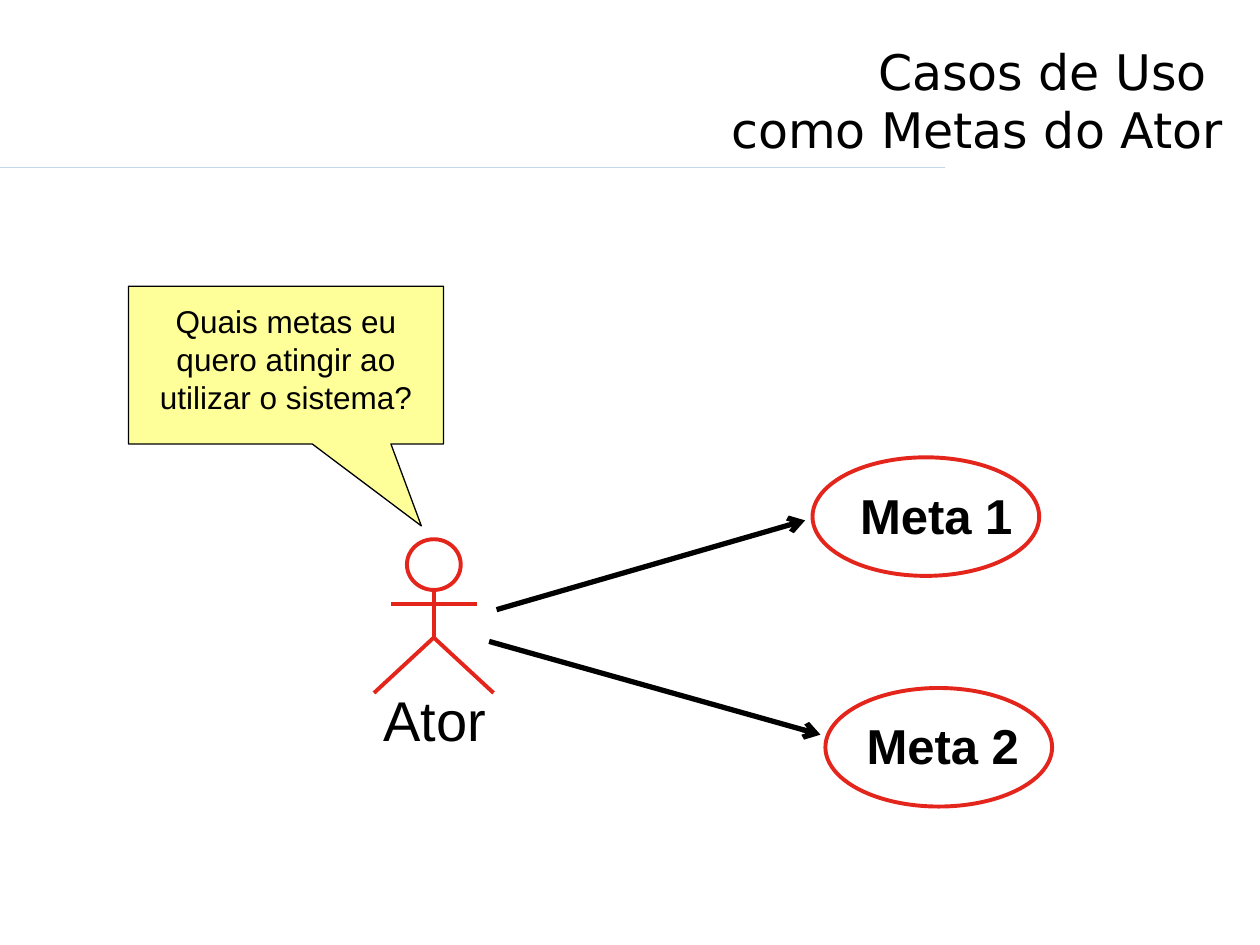
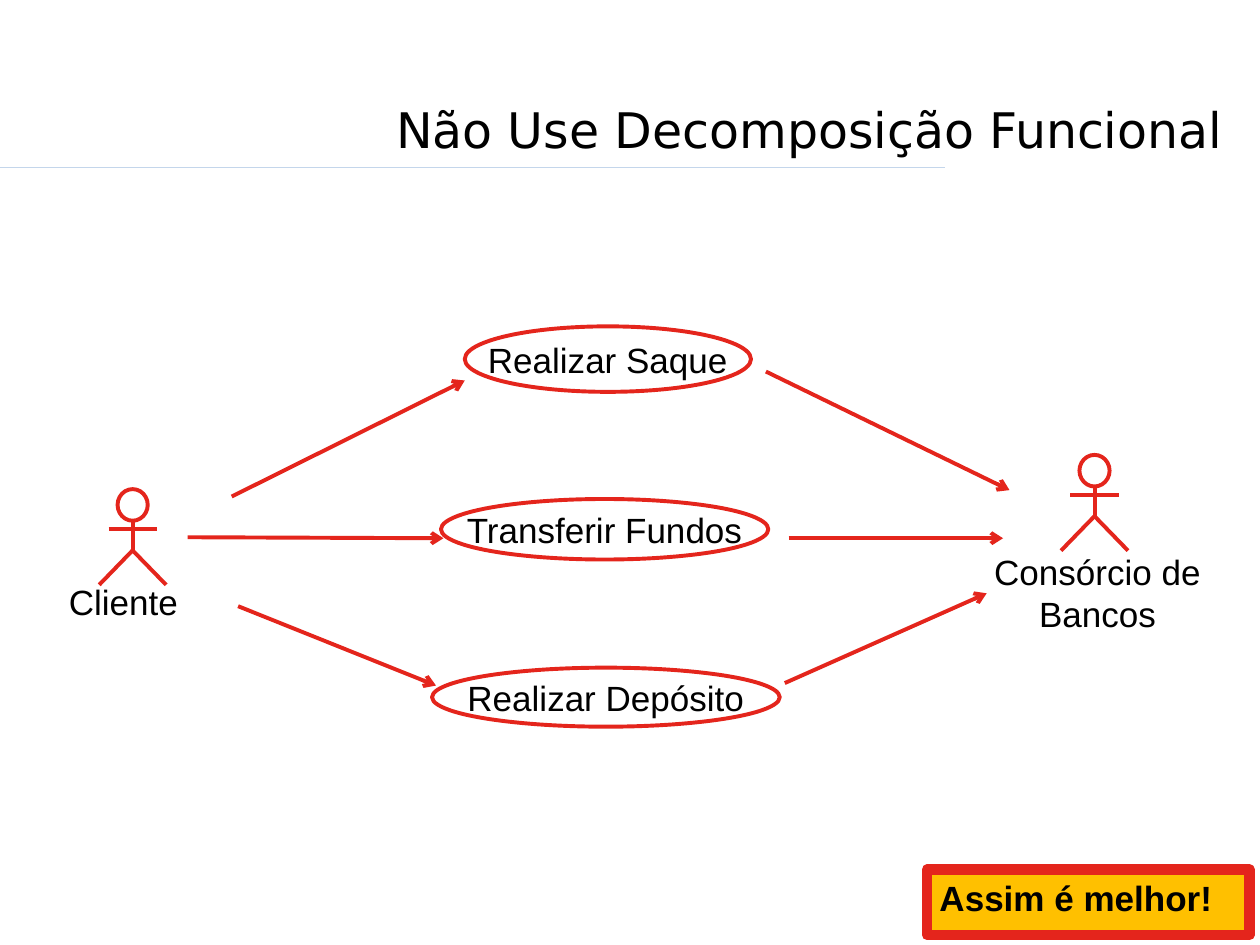
from dataclasses import dataclass

from lxml import etree
from pptx import Presentation
from pptx import util as u
from pptx.dml.color import RGBColor
from pptx.enum import shapes, text
from pptx.oxml import ns

Cm = u.Cm
MID = text.PP_ALIGN.CENTER
LEFT = text.PP_ALIGN.LEFT


@dataclass(frozen=True)
class Theme:
    red: str = "E4251C"
    black: str = "000000"
    white: str = "FFFFFF"
    rule: str = "C4D6EB"
    note: str = "FFFF99"
    gold: str = "FFC000"
    head: str = "DejaVu Sans"
    body: str = "Arial"
    large: int = 32
    title: int = 28
    mid: int = 20
    small: int = 18
    hair: float = 0.75
    pen: float = 2.25
    thick: float = 3
    frame: float = 6


class Deck:
    slim = (0.25, 0.13, 0.25, 0.13)
    wide = (0.3, 0.15, 0.3, 0.15)

    def __init__(self, theme):
        self.theme = theme
        self.prs = Presentation()
        self.prs.slide_width, self.prs.slide_height = Cm(25.4), Cm(19.05)
        self.slide = None

    def start(self, *lines):
        t = self.theme
        self.slide = self.prs.slides.add_slide(self.prs.slide_layouts[5])
        self.line((0, 3.38), (19.05, 3.38), t.rule, t.hair)
        title = self.slide.shapes.title
        self.place(title, (0.46, 0.69, 24.43, 2.64))
        self.words(title, lines, t.title, align=text.PP_ALIGN.RIGHT,
                   anchor=text.MSO_ANCHOR.BOTTOM, font=t.head)

    def place(self, shape, box):
        shape.left, shape.top, shape.width, shape.height = map(Cm, box)

    def words(self, shape, lines, size, align=MID, anchor=text.MSO_ANCHOR.MIDDLE,
              pad=slim, wrap=True, bold=False, font=None):
        frame = shape.text_frame
        frame.auto_size = text.MSO_AUTO_SIZE.NONE
        frame.word_wrap = wrap
        frame.vertical_anchor = anchor
        (frame.margin_left, frame.margin_top,
         frame.margin_right, frame.margin_bottom) = map(Cm, pad)
        para = frame.paragraphs[0]
        para.alignment = align
        for i, line in enumerate(lines):
            if i:
                para.add_line_break()
            run = para.add_run()
            run.text = line
            run.font.name = font or self.theme.body
            run.font.size = u.Pt(size)
            run.font.bold = bold
            run.font.color.rgb = RGBColor.from_string(self.theme.black)

    def ink(self, item, color, width):
        item.line.color.rgb = RGBColor.from_string(color)
        item.line.width = u.Pt(width)

    def paint(self, shape, fill, color, width):
        shape.shadow.inherit = False
        if fill:
            shape.fill.solid()
            shape.fill.fore_color.rgb = RGBColor.from_string(fill)
        else:
            shape.fill.background()
        self.ink(shape, color, width)

    def shape(self, kind, box, fill=None, color=None, width=None, home=None):
        t = self.theme
        item = (home or self.slide.shapes).add_shape(kind, *map(Cm, box))
        self.paint(item, fill, color or t.red, width or t.pen)
        return item

    def oval(self, box, fill=None, home=None):
        return self.shape(shapes.MSO_SHAPE.OVAL, box, fill, home=home)

    def label(self, name, box, size, **style):
        item = self.slide.shapes.add_textbox(*map(Cm, box))
        self.words(item, [name], size, anchor=text.MSO_ANCHOR.TOP, **style)

    def line(self, start, end, color, width, home=None):
        item = (home or self.slide.shapes).add_connector(
            shapes.MSO_CONNECTOR.STRAIGHT, *map(Cm, start + end))
        self.ink(item, color, width)
        etree.SubElement(item.element.spPr, ns.qn("a:effectLst"))
        return item

    def arrow(self, start, end, color, width):
        item = self.line(start, end, color, width)
        edge = item.element.spPr.find(ns.qn("a:ln"))
        etree.SubElement(edge, ns.qn("a:tailEnd"), type="arrow")

    def actor(self, x, y, w, h):
        t = self.theme
        home = self.slide.shapes.add_group_shape().shapes
        mid, neck, arm, hip = x + w / 2, y + 0.33 * h, y + 0.42 * h, y + 0.64 * h
        self.oval((mid - 0.225 * w, y, 0.45 * w, 0.33 * h), home=home)
        self.line((mid, neck), (mid, hip), t.red, t.pen, home)
        self.line((mid - 0.36 * w, arm), (mid + 0.36 * w, arm), t.red, t.pen, home)
        legs = home.build_freeform(Cm(x), Cm(y + h))
        legs.add_line_segments(
            [(Cm(mid), Cm(hip)), (Cm(x + w), Cm(y + h))], close=False)
        self.paint(legs.convert_to_shape(), None, t.red, t.pen)


def goals(deck):
    t = deck.theme
    deck.start("Casos de Uso ", "como Metas do Ator")
    deck.actor(7.54, 10.87, 2.41, 3.1)
    deck.label("Ator", (7.42, 13.69, 2.69, 1.6), t.large, wrap=False)
    for name, oval, spot in (
        ("Meta 1", (16.38, 9.22), (17.04, 9.63)),
        ("Meta 2", (16.64, 13.87), (17.17, 14.27)),
    ):
        deck.oval(oval + (4.57, 2.39))
        deck.label(name, spot + (3.71, 1.5), t.title, align=LEFT,
                   pad=deck.wide, wrap=False, bold=True)
    for start, end in (
        ((10.01, 12.29), (16.23, 10.49)),
        ((9.86, 12.93), (16.54, 14.81)),
    ):
        deck.arrow(start, end, t.black, t.thick)
    note = deck.shape(shapes.MSO_SHAPE.RECTANGULAR_CALLOUT,
                      (2.59, 5.77, 6.35, 3.18), t.note, t.black, t.hair)
    note.adjustments[0], note.adjustments[1] = 0.43, 1.02
    deck.words(note, ["Quais metas eu quero atingir ao utilizar o sistema?"],
               t.small, pad=(0.25, 0.13, 0.25, 0.38))


def cases(deck):
    t = deck.theme
    deck.start("Não Use Decomposição Funcional")
    for name, box in (
        ("Realizar Saque", (9.37, 6.58, 5.77, 1.32)),
        ("Transferir Fundos", (8.89, 10.06, 6.6, 1.22)),
        ("Realizar Depósito", (8.71, 13.46, 7.01, 1.19)),
    ):
        deck.words(deck.oval(box, t.white), [name], t.mid, wrap=False)
    for spot in ((2, 9.86), (21.39, 9.17)):
        deck.actor(*spot, 1.35, 1.93)
    deck.label("Cliente", (1.09, 11.56, 2.79, 1.14), t.mid, align=LEFT,
               pad=deck.wide, wrap=False)
    deck.label("Consórcio de Bancos", (19.71, 10.95, 4.83, 1.98), t.mid, pad=deck.wide)
    for start, end in (
        ((4.67, 10.01), (9.37, 7.67)),
        ((3.78, 10.83), (8.94, 10.85)),
        ((4.8, 12.22), (8.79, 13.82)),
        ((15.44, 7.49), (20.35, 9.88)),
        ((15.9, 10.85), (20.22, 10.85)),
        ((15.82, 13.77), (19.89, 11.96)),
    ):
        deck.arrow(start, end, t.red, t.pen)
    badge = deck.shape(shapes.MSO_SHAPE.RECTANGLE, (18.69, 17.53, 6.5, 1.32),
                       t.gold, width=t.frame)
    deck.words(badge, ["Assim é melhor!"], t.mid, align=LEFT,
               anchor=text.MSO_ANCHOR.TOP, bold=True)


def main():
    deck = Deck(Theme())
    goals(deck)
    cases(deck)
    deck.prs.save("out.pptx")


if __name__ == "__main__":
    main()
